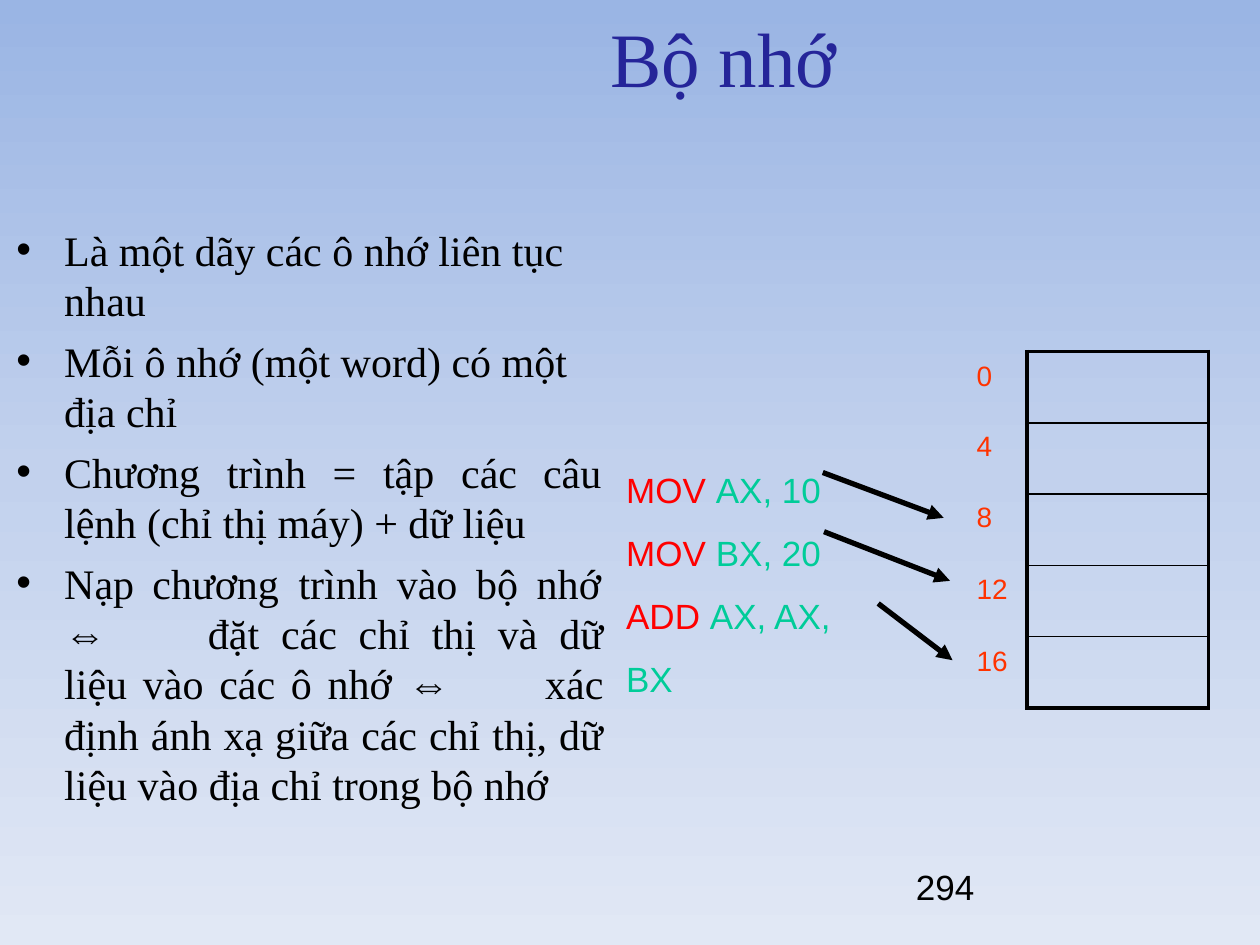
from copy import deepcopy

from pptx import Presentation
from pptx.dml.color import RGBColor
from pptx.enum.shapes import MSO_CONNECTOR as Connector
from pptx.enum.text import MSO_ANCHOR as Anchor, PP_ALIGN as Align
from pptx.oxml.ns import qn
from pptx.oxml.xmlchemy import OxmlElement as Element
from pptx.util import Inches, Pt

BLACK = RGBColor(0x00, 0x00, 0x00)
NAVY = RGBColor(0x25, 0x25, 0x99)
RED = RGBColor(0xFF, 0x00, 0x00)
GREEN = RGBColor(0x00, 0xCC, 0x99)
ORANGE = RGBColor(0xFF, 0x33, 0x00)
SKY = [(0, RGBColor(0x9A, 0xB5, 0xE4)),
       (0.5, RGBColor(0xC2, 0xD1, 0xED)),
       (1, RGBColor(0xE1, 0xE8, 0xF5))]
SERIF, SANS = "Times New Roman", "Arial"
INDENT, HANG = 0.39, 0.38
ARROW_GAP = 45.6  # letter spacing after the double arrow, in points

# Each body paragraph: text, bulleted, tab stops in inches
BODY = [
    ("Là một dãy các ô nhớ liên tục", True, []),
    ("nhau", False, []),
    ("Mỗi ô nhớ (một word) có một địa chỉ", True, []),
    ("Chương\ttrình\t=\ttập\tcác\tcâu", True, [1.68, 2.52, 2.92, 3.54, 4.19]),
    ("lệnh (chỉ thị máy) + dữ liệu", False, []),
    ("Nạp\tchương\ttrình\tvào\tbộ\tnhớ", True, [1.09, 2.25, 3.03, 3.66, 4.14]),
]
MAPPING = [" đặt các chỉ thị và dữ liệu vào các ô nhớ ",
           " xác định ánh xạ giữa các chỉ thị, dữ liệu vào địa chỉ trong bộ nhớ"]
CODE = [[("MOV ", "AX, 10")],
        [("MOV ", "BX, 20 "), ("ADD ", "AX, AX, BX")]]
ARROWS = [(6.53, 3.75, 7.49, 4.11),
          (6.54, 4.22, 7.54, 4.61),
          (6.97, 4.79, 7.56, 5.24)]


def set_background(slide):
    fill = slide.background.fill
    fill.gradient()
    fill.gradient_angle = 270
    stops = slide.element.find(".//" + qn("a:gsLst"))
    stops.insert(1, deepcopy(stops[0]))
    for stop, (position, color) in zip(fill.gradient_stops, SKY):
        stop.position = position
        stop.color.rgb = color


def add_text_box(slide, left, top, width, height, inset=0.01):
    box = slide.shapes.add_textbox(*map(Inches, (left, top, width, height)))
    tf = box.text_frame
    tf.word_wrap = True
    tf.margin_left = tf.margin_right = tf.margin_bottom = 0
    tf.margin_top = Inches(inset)
    return tf


def add_run(p, text, size, font, color, spacing=None):
    r = p.add_run()
    r.text = text
    r.font.size, r.font.name = Pt(size), font
    r.font.color.rgb = color
    if spacing:
        r.font._element.set("spc", str(round(spacing * 100)))


def set_indent(p, left, hang=0.0):
    pPr = p._p.get_or_add_pPr()
    pPr.set("marL", str(Inches(left)))
    pPr.set("indent", str(-Inches(hang)))
    return pPr


def add_child(parent, tag, **attributes):
    child = Element(tag)
    for name, value in attributes.items():
        child.set(name, str(value))
    parent.append(child)
    return child


def next_paragraph(tf, index):
    return tf.add_paragraph() if index else tf.paragraphs[0]


def add_body(slide):
    tf = add_text_box(slide, 0.12, 1.77, 4.67, 4.67)
    for i, (text, bulleted, tabs) in enumerate(BODY):
        p = next_paragraph(tf, i)
        pPr = set_indent(p, INDENT, HANG if bulleted else 0)
        if bulleted and i:
            p.space_before = Pt(5.8)
        if bulleted:
            add_child(pPr, "a:buFont", typeface=SANS)
            add_child(pPr, "a:buChar", char="•")
            tab_list = add_child(pPr, "a:tabLst")
            for position in [INDENT] + tabs:
                add_child(tab_list, "a:tab", pos=Inches(position), algn="l")
        add_run(p, text, 24, SERIF, BLACK)

    # Closing paragraph, with a double arrow before each part
    p = tf.add_paragraph()
    set_indent(p, INDENT)
    p.alignment = Align.JUSTIFY
    for part in MAPPING:
        add_run(p, "⇔", 24, SANS, BLACK, ARROW_GAP)
        add_run(p, part, 24, SERIF, BLACK)


def add_code(slide):
    tf = add_text_box(slide, 4.96, 3.53, 2, 1.53, 0.19)
    for i, commands in enumerate(CODE):
        p = next_paragraph(tf, i)
        set_indent(p, 0.01)
        if i:
            p.line_spacing = 1.5
        for name, operands in commands:
            add_run(p, name, 20, SANS, RED)
            add_run(p, operands, 20, SANS, GREEN)


def add_column(slide, left, top, width, heights):
    frame = slide.shapes.add_table(len(heights), 1, Inches(left), Inches(top),
                                   Inches(width), Inches(sum(heights)))
    table = frame.table
    table.first_row = table.horz_banding = False
    table.columns[0].width = Inches(width)
    for row, height in zip(table.rows, heights):
        row.height = Inches(height)
    return [table.cell(i, 0) for i in range(len(heights))]


def set_borders(cell, **widths):
    """Draw the sides L, R, T and B; a width of 0 hides the line."""
    tcPr = cell._tc.get_or_add_tcPr()
    for side in "LRTB":
        width = widths.get(side, 0)
        line = add_child(tcPr, f"a:ln{side}", w=Pt(width))
        if width:
            fill = add_child(line, "a:solidFill")
            add_child(fill, "a:srgbClr", val=BLACK)
        else:
            add_child(line, "a:noFill")
    cell.fill.background()


def add_memory(slide):
    cells = add_column(slide, 8.15, 2.79, 1.44, [2.83 / 5] * 5)
    for i, cell in enumerate(cells):
        set_borders(cell, L=2.25, R=2.25, T=1 if i else 2.25,
                    B=2.25 if i == len(cells) - 1 else 1)


def add_addresses(slide):
    cells = add_column(slide, 7.61, 2.87, 0.52, [0.41, 0.57, 0.57, 0.57, 0.41])
    for i, cell in enumerate(cells):
        set_borders(cell)
        cell.margin_left = cell.margin_right = cell.margin_bottom = 0
        cell.margin_top = Inches(0.14 if i else 0)
        p = cell.text_frame.paragraphs[0]
        set_indent(p, 0.14)
        add_run(p, str(4 * i), 16, SANS, ORANGE)


def add_arrow(slide, x1, y1, x2, y2):
    s = slide.shapes.add_connector(Connector.STRAIGHT,
                                   *map(Inches, (x1, y1, x2, y2)))
    s.line.color.rgb = BLACK
    s.line.width = Pt(3)
    add_child(s.line._get_or_add_ln(), "a:tailEnd", type="triangle")
    add_child(s._element.spPr, "a:effectLst")


def main():
    prs = Presentation()
    prs.slide_width, prs.slide_height = Inches(10), Inches(7.5)
    slide = prs.slides.add_slide(prs.slide_layouts[6])
    set_background(slide)

    # Explanation, memory cells and program
    add_body(slide)
    add_memory(slide)
    add_addresses(slide)
    add_code(slide)
    for ends in ARROWS:
        add_arrow(slide, *ends)

    # Title
    tf = add_text_box(slide, 4.14, 0.07, 3.2, 0.75)
    tf.vertical_anchor = Anchor.MIDDLE
    p = tf.paragraphs[0]
    p.alignment = Align.CENTER
    add_run(p, "Bộ nhớ", 44, SERIF, NAVY, -0.1)

    # Page number
    tf = add_text_box(slide, 7.26, 6.86, 0.49, 0.36)
    p = tf.paragraphs[0]
    set_indent(p, 0.01)
    add_run(p, "294", 20, SANS, BLACK)

    prs.save("out.pptx")


if __name__ == "__main__":
    main()
